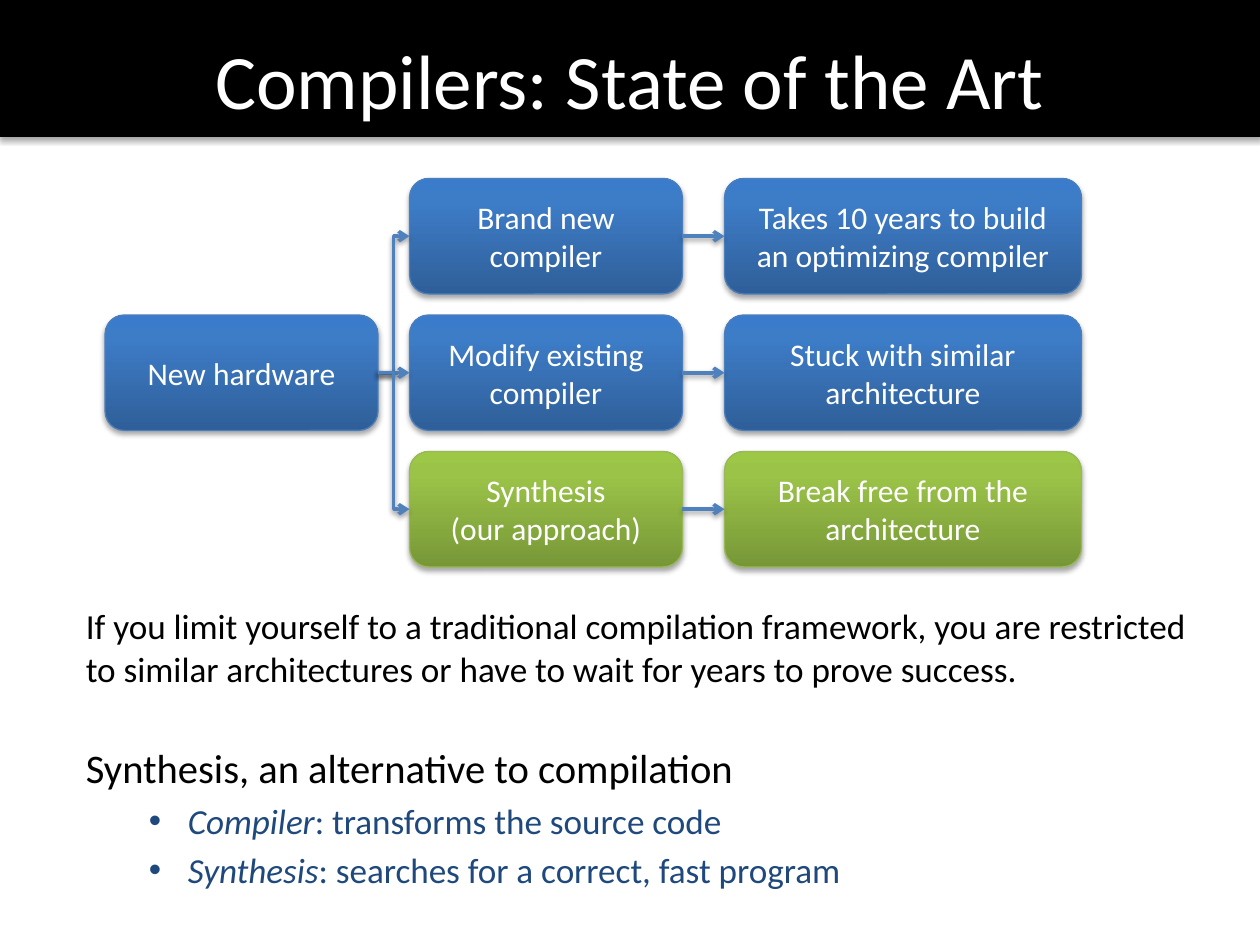
from lxml.etree import SubElement
from pptx import Presentation
from pptx.dml.color import RGBColor
from pptx.enum.shapes import MSO_CONNECTOR, MSO_SHAPE
from pptx.enum.text import MSO_ANCHOR, PP_ALIGN
from pptx.oxml.ns import qn
from pptx.util import Inches, Pt

RECT, ROUND = MSO_SHAPE.RECTANGLE, MSO_SHAPE.ROUNDED_RECTANGLE
ELBOW, STRAIGHT = MSO_CONNECTOR.ELBOW, MSO_CONNECTOR.STRAIGHT
MIDDLE, CENTER = MSO_ANCHOR.MIDDLE, PP_ALIGN.CENTER
LEFT_SIDE, RIGHT_SIDE = 1, 3

BLACK, WHITE, NAVY, SKY = "000000", "FFFFFF", "1F497D", "4F81BD"
BLUE = ("4B7EBC", [(0, "2F5F99"), (80, "3D7CC7"), (100, "3A7CCB")])
GREEN = ("98B955", [(0, "779737"), (80, "9BC348"), (100, "9DC746")])


def tint(code):
    return RGBColor.from_string(code)


class Deck:
    """Holds the style and the current slide, on a grid of 120 columns by 90 rows."""

    font = "Calibri"
    cell = Inches(10) / 120

    def __init__(self):
        self.file = Presentation()
        self.file.slide_width = Inches(10)
        self.file.slide_height = Inches(7.5)
        self.slide = self.file.slides.add_slide(self.file.slide_layouts[6])

    def grid(self, *units):
        return [round(unit * self.cell) for unit in units]

    def style(self, para, size, color):
        for run in para.runs:
            run.font.name = self.font
            run.font.size = Pt(size)
            run.font.color.rgb = tint(color)

    def center(self, shape, text, size):
        frame = shape.text_frame
        frame.word_wrap = True
        frame.vertical_anchor = MIDDLE
        frame.text = text
        for para in frame.paragraphs:
            para.alignment = CENTER
            self.style(para, size, WHITE)

    def shade(self, shape, alpha, drop):
        effects = SubElement(shape._element.spPr, qn("a:effectLst"))
        outer = SubElement(effects, qn("a:outerShdw"), blurRad=str(Pt(3.1)),
                           dist=str(Pt(drop)), dir="5400000", rotWithShape="0")
        color = SubElement(outer, qn("a:srgbClr"), val=BLACK)
        SubElement(color, qn("a:alpha"), val=str(alpha * 1000))

    def blend(self, shape, stops):
        shape.fill.gradient()
        shape.fill.gradient_angle = 90
        ramp = shape._element.spPr.find(".//" + qn("a:gsLst"))
        for old in list(ramp):
            ramp.remove(old)
        for place, code in stops:
            stop = SubElement(ramp, qn("a:gs"), pos=str(place * 1000))
            SubElement(stop, qn("a:srgbClr"), val=code)

    def shape(self, kind, area, edge):
        shape = self.slide.shapes.add_shape(kind, *self.grid(*area))
        shape.line.color.rgb = tint(edge)
        shape.line.width = Pt(0.75)
        self.shade(shape, 35, 1.8)
        return shape

    def title(self, text):
        bar = self.shape(RECT, (0, 0, 120, 13), BLACK)
        bar.fill.solid()
        bar.fill.fore_color.rgb = tint(BLACK)
        box = self.slide.shapes.add_textbox(*self.grid(6, 0, 108, 15))
        self.center(box, text, 44)

    def node(self, col, row, width, text, theme):
        edge, stops = theme
        shape = self.shape(ROUND, (col, row, width, 11), edge)
        self.blend(shape, stops)
        self.center(shape, text, 18)
        return shape

    def link(self, start, end):
        kind = STRAIGHT if start.top == end.top else ELBOW
        line = self.slide.shapes.add_connector(kind, 0, 0, 0, 0)
        line.begin_connect(start, RIGHT_SIDE)
        line.end_connect(end, LEFT_SIDE)
        line.line.color.rgb = tint(SKY)
        line.line.width = Pt(2)
        SubElement(line.line._get_or_add_ln(), qn("a:tailEnd"), type="arrow")
        self.shade(line, 38, 1.6)

    def body(self, lead, head, points):
        box = self.slide.shapes.add_textbox(*self.grid(7, 57, 108, 29))
        frame = box.text_frame
        frame.word_wrap = True
        frame.text = lead
        self.style(frame.paragraphs[0], 20.1, BLACK)
        para = frame.add_paragraph()
        para.text = head
        para.space_before = Pt(31)
        self.style(para, 23.2, BLACK)
        for term, rest in points:
            self.point(frame.add_paragraph(), term, rest)

    def point(self, para, term, rest):
        props = para._p.get_or_add_pPr()
        props.set("marL", str(Inches(0.81)))
        props.set("indent", str(Inches(-0.31)))
        para.space_before = Pt(4)
        SubElement(props, qn("a:buFont"), typeface="Arial")
        SubElement(props, qn("a:buChar"), char="•")
        para.level = 1
        for text, slant in ((term, True), (rest, False)):
            run = para.add_run()
            run.text = text
            run.font.italic = slant
        self.style(para, 20.1, NAVY)


def main():
    deck = Deck()
    deck.title("Compilers: State of the Art")
    deck.body(
        "If you limit yourself to a traditional compilation framework, you are "
        "restricted to similar architectures or have to wait for years to prove success.",
        "Synthesis, an alternative to compilation",
        [("Compiler", ": transforms the source code"),
         ("Synthesis", ": searches for a correct, fast program")])
    source = deck.node(10, 30, 26, "New hardware", BLUE)
    routes = [
        ("Brand new compiler", "Takes 10 years to build an optimizing compiler", BLUE),
        ("Modify existing compiler", "Stuck with similar architecture", BLUE),
        ("Synthesis\n(our approach)", "Break free from the architecture", GREEN),
    ]
    for index, (choice, result, theme) in enumerate(routes):
        row = 17 + 13 * index
        option = deck.node(39, row, 26, choice, theme)
        effect = deck.node(69, row, 34, result, theme)
        deck.link(option, effect)
        deck.link(source, option)
    deck.file.save("out.pptx")


if __name__ == "__main__":
    main()
